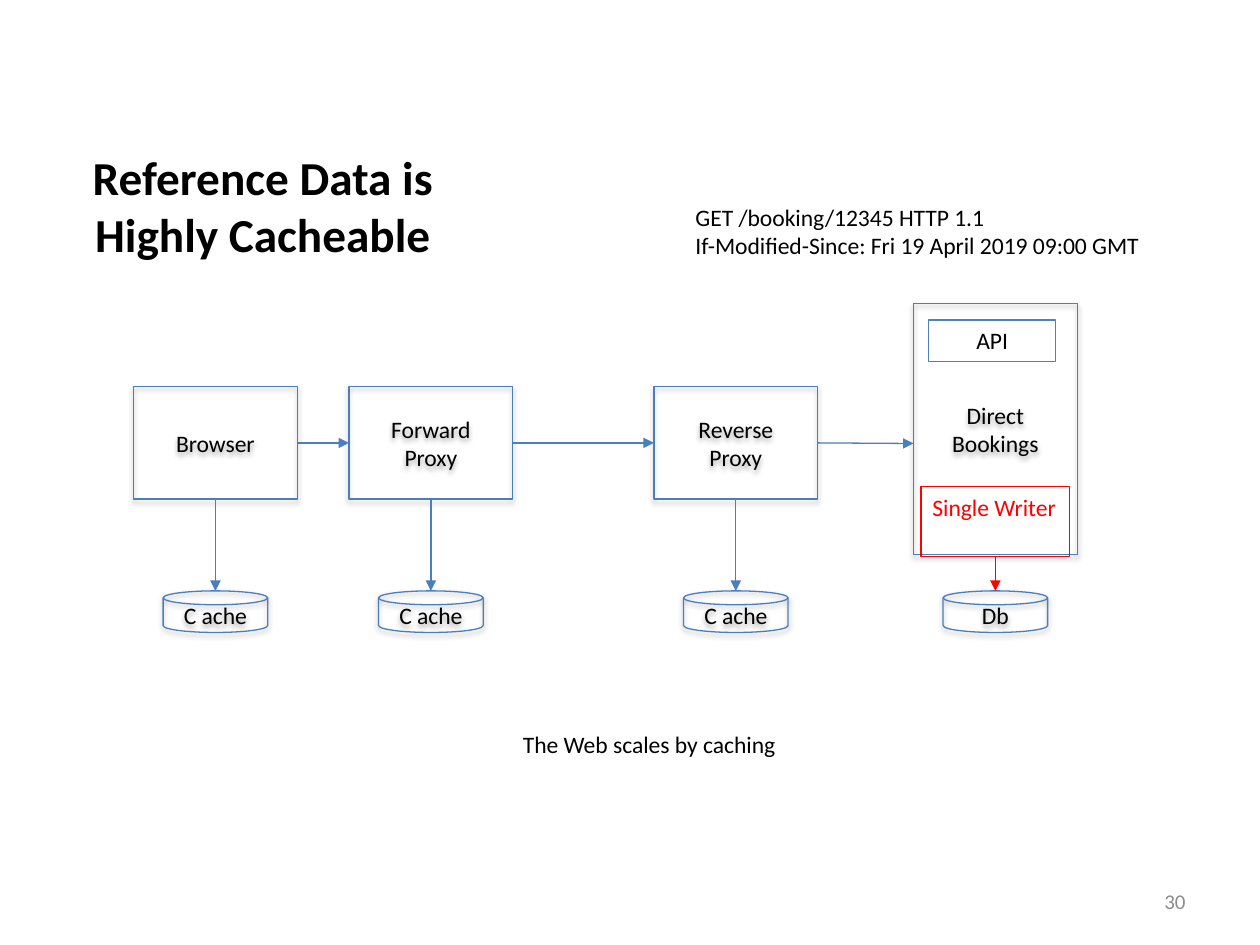
from dataclasses import dataclass

from lxml import etree
from pptx import Presentation
from pptx.dml.color import RGBColor
from pptx.enum.shapes import MSO_CONNECTOR, MSO_SHAPE
from pptx.enum.text import MSO_ANCHOR, PP_ALIGN
from pptx.oxml import parse_xml
from pptx.oxml.ns import nsdecls, qn
from pptx.util import Inches, Pt

RECTANGLE = MSO_SHAPE.RECTANGLE
DISK = MSO_SHAPE.FLOWCHART_MAGNETIC_DISK
STRAIGHT = MSO_CONNECTOR.STRAIGHT
TOP, MIDDLE = MSO_ANCHOR.TOP, MSO_ANCHOR.MIDDLE
LEFT, CENTER, RIGHT = PP_ALIGN.LEFT, PP_ALIGN.CENTER, PP_ALIGN.RIGHT
SIDE_LEFT, SIDE_BOTTOM, SIDE_RIGHT = 1, 2, 3


@dataclass(frozen=True)
class Theme:
    font: str = "Calibri"
    ink: RGBColor = RGBColor(0x00, 0x00, 0x00)
    muted: RGBColor = RGBColor(0x8C, 0x8C, 0x8C)
    blue: RGBColor = RGBColor(0x4B, 0x7E, 0xBC)
    api_blue: RGBColor = RGBColor(0x4F, 0x81, 0xBD)
    red: RGBColor = RGBColor(0xFF, 0x00, 0x00)
    title_size: float = 27
    body_size: float = 13.5
    number_size: float = 12
    line_width: float = 0.75


THEME = Theme()

NODE_WIDTH, NODE_HEIGHT, NODE_TOP = 1.3, 0.89, 3.07
STORE_WIDTH, STORE_HEIGHT, STORE_TOP = 0.83, 0.33, 4.69
FLOW_Y = 3.52
BOOKINGS_LEFT = 7.25
NODES = [
    (1.06, "Browser"),
    (2.77, "Forward\nProxy"),
    (5.19, "Reverse\nProxy"),
]


def write(shape, text, size=THEME.body_size, color=THEME.ink, align=CENTER,
          anchor=MIDDLE, bold=False):
    frame = shape.text_frame
    frame.word_wrap = True
    frame.vertical_anchor = anchor
    frame.margin_left = frame.margin_right = Inches(0.09)
    frame.text = text
    for paragraph in frame.paragraphs:
        paragraph.alignment = align
        font = paragraph.font
        font.name, font.size, font.bold = THEME.font, Pt(size), bold
        font.color.rgb = color


def add_text(slide, box, text, **style):
    write(slide.shapes.add_textbox(*map(Inches, box)), text, **style)


def add_soft_shadow(shape):
    shape.shadow.inherit = False
    effects = shape._element.spPr.find(qn("a:effectLst"))
    effects.append(parse_xml(
        f'<a:outerShdw {nsdecls("a")} blurRad="{Pt(3.1)}" dist="{Pt(1.8)}" '
        'dir="5400000" rotWithShape="0"><a:srgbClr val="000000">'
        '<a:alpha val="35000"/></a:srgbClr></a:outerShdw>'))


def add_outline(slide, kind, box, text, line=THEME.blue, shadow=True, **style):
    """Add an unfilled, outlined shape with a label."""
    shape = slide.shapes.add_shape(kind, *map(Inches, box))
    shape.fill.background()
    shape.line.color.rgb = line
    shape.line.width = Pt(THEME.line_width)
    if shadow:
        add_soft_shadow(shape)
    else:
        shape.shadow.inherit = False
    write(shape, text, **style)
    return shape


def add_store(slide, center, text):
    box = (center - STORE_WIDTH / 2, STORE_TOP, STORE_WIDTH, STORE_HEIGHT)
    add_outline(slide, DISK, box, text)


def add_arrow(slide, start, end, color=THEME.blue):
    arrow = slide.shapes.add_connector(STRAIGHT, *map(Inches, (*start, *end)))
    arrow.line.color.rgb = color
    arrow.line.width = Pt(THEME.line_width)
    etree.SubElement(arrow.line._get_or_add_ln(), qn("a:tailEnd"), type="triangle")
    etree.SubElement(arrow._element.spPr, qn("a:effectLst"))
    return arrow


def add_bookings_service(slide):
    add_outline(slide, RECTANGLE, (BOOKINGS_LEFT, 2.41, NODE_WIDTH, 1.99),
                "Direct\nBookings")
    add_outline(slide, RECTANGLE, (7.37, 2.54, 1.01, 0.33), "API",
                line=THEME.api_blue, shadow=False, anchor=TOP)
    center = BOOKINGS_LEFT + NODE_WIDTH / 2
    add_store(slide, center, "Db")
    writer = add_outline(slide, RECTANGLE, (7.31, 3.86, 1.18, 0.56),
                         "Single Writer", line=THEME.red, shadow=False,
                         color=THEME.red, align=LEFT, anchor=TOP)
    arrow = add_arrow(slide, (center, 4.42), (center, STORE_TOP), THEME.red)
    arrow.begin_connect(writer, SIDE_BOTTOM)


def add_cached_node(slide, left, text):
    node = add_outline(slide, RECTANGLE,
                       (left, NODE_TOP, NODE_WIDTH, NODE_HEIGHT), text)
    center = left + NODE_WIDTH / 2
    add_store(slide, center, "C ache")
    arrow = add_arrow(slide, (center, NODE_TOP + NODE_HEIGHT), (center, STORE_TOP))
    arrow.begin_connect(node, SIDE_BOTTOM)
    return node


def add_request_flow(slide, nodes):
    """Link each node to the next, and the last one to the bookings service."""
    lefts = [left for left, _ in NODES]
    targets = lefts[1:] + [BOOKINGS_LEFT]
    for index, (left, target) in enumerate(zip(lefts, targets)):
        arrow = add_arrow(slide, (left + NODE_WIDTH, FLOW_Y), (target, FLOW_Y))
        arrow.begin_connect(nodes[index], SIDE_RIGHT)
        if index + 1 < len(nodes):
            arrow.end_connect(nodes[index + 1], SIDE_LEFT)


def main():
    deck = Presentation()
    deck.slide_width, deck.slide_height = Inches(10), Inches(7.5)
    slide = deck.slides.add_slide(deck.slide_layouts[6])

    add_text(slide, (7.17, 6.95, 2.33, 0.4), "30", size=THEME.number_size,
             color=THEME.muted, align=RIGHT)
    add_bookings_service(slide)
    nodes = [add_cached_node(slide, left, text) for left, text in NODES]
    add_request_flow(slide, nodes)
    add_text(slide, (0.33, 1.13, 3.51, 1.01), "Reference Data is Highly Cacheable",
             size=THEME.title_size, anchor=TOP, bold=True)
    add_text(slide, (5.43, 1.56, 3.86, 0.56),
             "GET /booking/12345 HTTP 1.1\n"
             "If-Modified-Since: Fri 19 April 2019 09:00 GMT",
             align=LEFT, anchor=TOP)
    add_text(slide, (4.06, 5.74, 2.26, 0.33), "The Web scales by caching",
             align=LEFT, anchor=TOP)

    deck.save("out.pptx")


if __name__ == "__main__":
    main()
